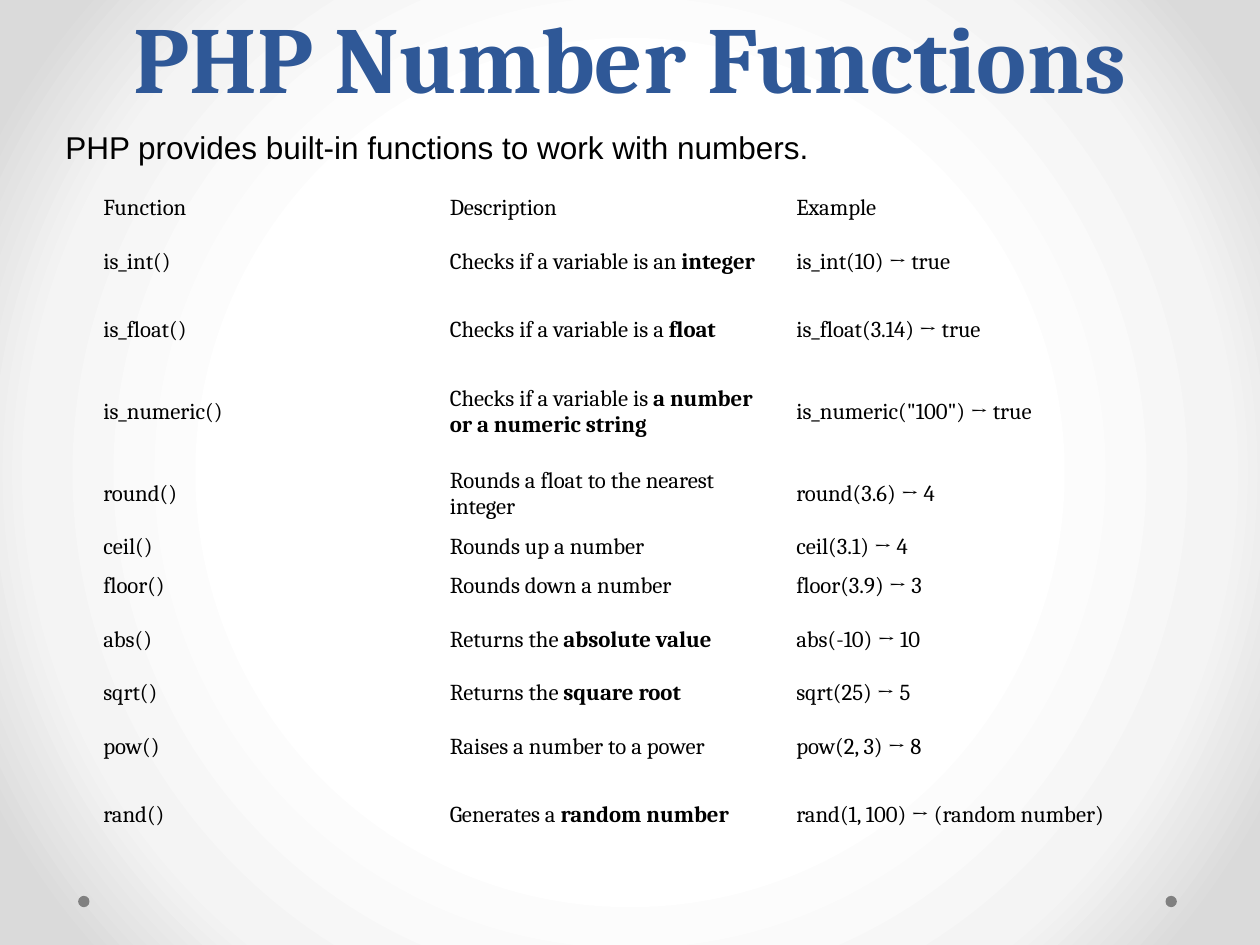
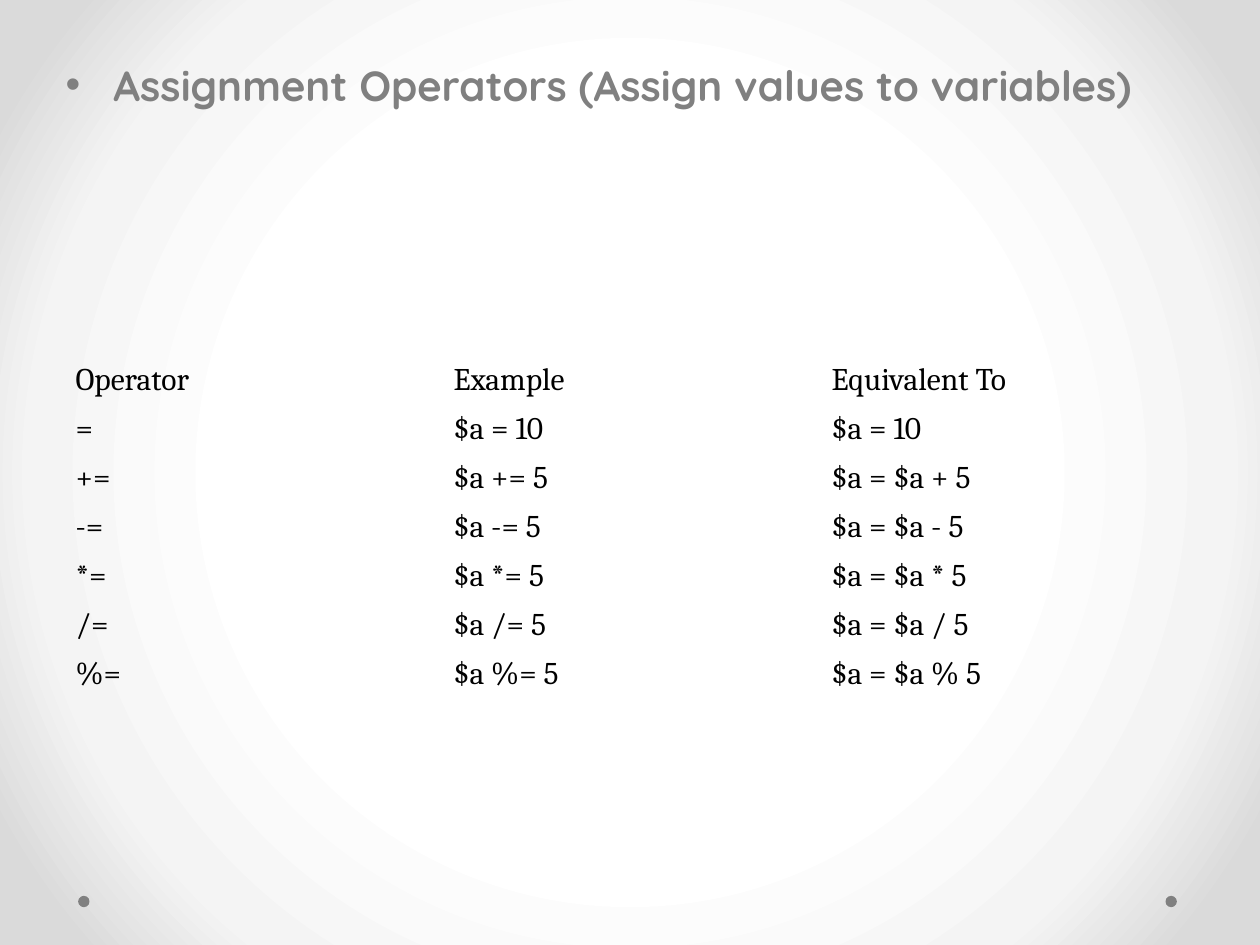
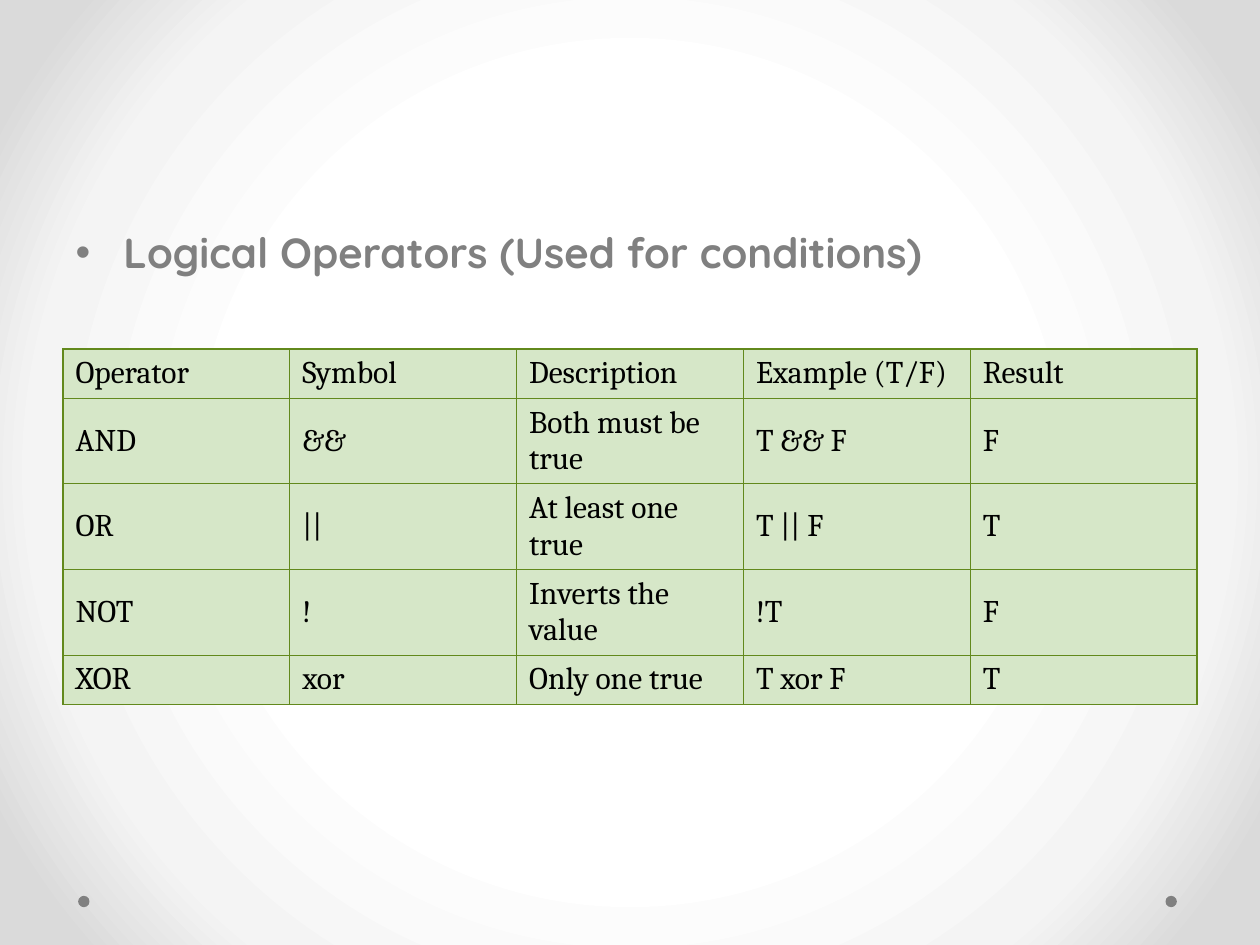
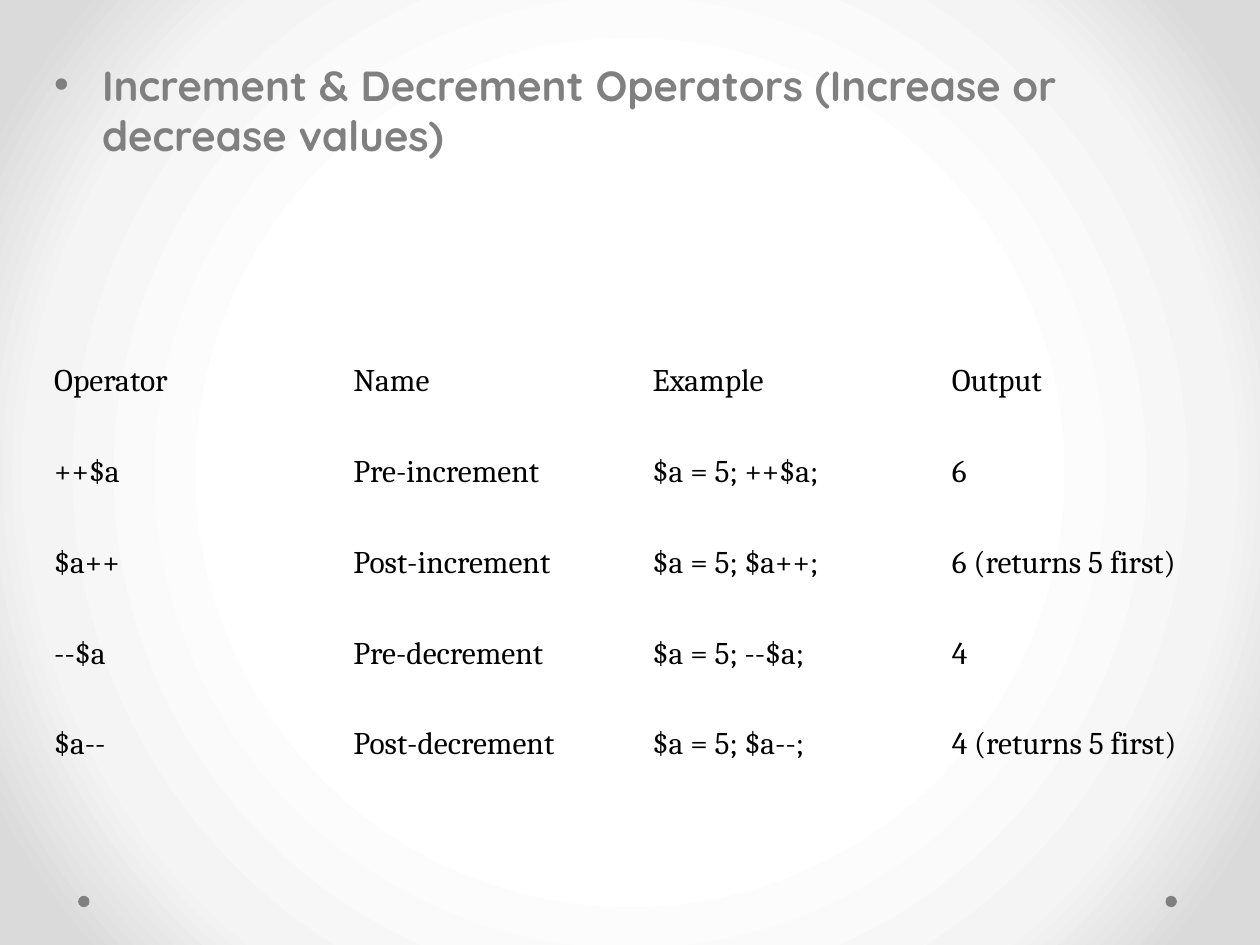
"""Builds four slides on PHP number functions and operators."""
from pptx import Presentation
from pptx.dml.color import RGBColor
from pptx.enum.shapes import MSO_SHAPE as Shape
from pptx.enum.text import MSO_ANCHOR as Anchor, PP_ALIGN as Align
from pptx.oxml import parse_xml
from pptx.oxml.ns import nsdecls, qn
from pptx.util import Inches, Pt

color = RGBColor.from_string
BLUE, GREY, BLACK = "2F5897", "808080", "000000"
LEAF, PALE_GREEN = "62891C", "D6E7C8"
NO_GRID_STYLE = "{2D5ABB26-0587-4C30-8999-92F81FD0307C}"
BACKDROP = [(0, "FFFFFF"), (50, "FFFFFF"), (76, "F4F4F4"), (92, "DADADA"), (100, "DADADA")]


def style(paragraph, name, size, ink, bold=False):
    font = paragraph.font
    font.name, font.size, font.bold = name, Pt(size), bold
    font.color.rgb = color(ink)


def add_grid(page, lines, left, top, width, heights, size=18, margins=None, fill=None, border=None):
    rows = [line.split(" ¦ ") for line in lines]
    frame = page.shapes.add_table(len(rows), len(rows[0]), Inches(left), Inches(top),
                                  Inches(width), Inches(sum(heights)))
    table = frame.table
    table.first_row = table.horz_banding = False
    frame.element.find(".//" + qn("a:tableStyleId")).text = NO_GRID_STYLE
    for row, texts, height in zip(table.rows, rows, heights):
        row.height = Inches(height)
        for cell, text in zip(row.cells, texts):
            cell.vertical_anchor = Anchor.MIDDLE
            if margins:
                cell.margin_left = cell.margin_right = Inches(margins[0])
                cell.margin_top = cell.margin_bottom = Inches(margins[1])
            para = cell.text_frame.paragraphs[0]
            style(para, "Cambria", size, BLACK)
            for index, part in enumerate(text.split("**")):
                if part:
                    span = para.add_run()
                    span.text = part
                    if index % 2:
                        span.font.bold = True
            if border:
                for side in ("lnL", "lnR", "lnT", "lnB"):
                    cell._tc.get_or_add_tcPr().append(parse_xml(
                        f'<a:{side} {nsdecls("a")} w="{Pt(0.75)}"><a:solidFill>'
                        f'<a:srgbClr val="{border}"/></a:solidFill></a:{side}>'))
            if fill:
                cell.fill.solid()
                cell.fill.fore_color.rgb = color(fill)
            else:
                cell.fill.background()


deck = Presentation()
deck.slide_width, deck.slide_height = Inches(10), Inches(7.5)

master = deck.slide_master.element.cSld
stops = "".join(f'<a:gs pos="{place * 1000}"><a:srgbClr val="{tone}"/></a:gs>' for place, tone in BACKDROP)
master.remove(master.bg)
master.insert(0, parse_xml(
    f'<p:bg {nsdecls("p", "a")}><p:bgPr><a:gradFill rotWithShape="1"><a:gsLst>{stops}</a:gsLst>'
    '<a:path path="circle"><a:fillToRect l="50000" t="50000" r="50000" b="50000"/></a:path>'
    '</a:gradFill><a:effectLst/></p:bgPr></p:bg>'))

page = deck.slides.add_slide(deck.slide_layouts[5])
for number, left in enumerate((9.25, 0.62)):
    dot = page.shapes.add_shape(Shape.OVAL, Inches(left), Inches(7.11), Inches(0.09), Inches(0.09))
    dot.shadow.inherit = False
    dot.fill.solid()
    dot.fill.fore_color.rgb = color(GREY)
    dot.line.fill.background()
    dot.element.nvSpPr.cNvPr.id = 20 + number
    master.spTree.append(dot.element)

title = page.shapes.title
title.left, title.top, title.width, title.height = Inches(0.5), Inches(0), Inches(9), Inches(1.75)
title.text_frame.text = "PHP Number Functions"
title.text_frame.vertical_anchor = Anchor.BOTTOM
title.text_frame.margin_bottom = Inches(0.86)
para = title.text_frame.paragraphs[0]
para.alignment = Align.CENTER
para.line_spacing = Pt(58)
style(para, "Cambria", 54, BLUE, True)

functions = [
    "Function ¦ Description ¦ Example",
    "is_int() ¦ Checks if a variable is an **integer** ¦ is_int(10) → true",
    "is_float() ¦ Checks if a variable is a **float** ¦ is_float(3.14) → true",
    'is_numeric() ¦ Checks if a variable is **a number or a numeric string** ¦ is_numeric("100") → true',
    "round() ¦ Rounds a float to the nearest integer ¦ round(3.6) → 4",
    "ceil() ¦ Rounds up a number ¦ ceil(3.1) → 4",
    "floor() ¦ Rounds down a number ¦ floor(3.9) → 3",
    "abs() ¦ Returns the **absolute value** ¦ abs(-10) → 10",
    "sqrt() ¦ Returns the **square root** ¦ sqrt(25) → 5",
    "pow() ¦ Raises a number to a power ¦ pow(2, 3) → 8",
    "rand() ¦ Generates a **random number** ¦ rand(1, 100) → (random number)",
]
add_grid(page, functions, 0.75, 1.5, 8.25,
         [0.31, 0.54, 0.54, 0.76, 0.54, 0.31, 0.31, 0.54, 0.31, 0.54, 0.54], size=13, margins=(0.07, 0.04))

box = page.shapes.add_textbox(Inches(0.42), Inches(0.92), Inches(9.08), Inches(0.5))
box.text_frame.word_wrap = True
box.text_frame.vertical_anchor = Anchor.MIDDLE
box.text_frame.text = "PHP provides built-in functions to work with numbers."
style(box.text_frame.paragraphs[0], "Arial", 18, BLACK)

assignment = ["Operator ¦ Example ¦ Equivalent To", "= ¦ $a = 10 ¦ $a = 10"]
assignment += [f"{sign}= ¦ $a {sign}= 5 ¦ $a = $a {sign} 5" for sign in "+-*/%"]
logical = [
    "Operator ¦ Symbol ¦ Description ¦ Example (T/F) ¦ Result",
    "AND ¦ && ¦ Both must be true ¦ T && F ¦ F",
    "OR ¦ || ¦ At least one true ¦ T || F ¦ T",
    "NOT ¦ ! ¦ Inverts the value ¦ !T ¦ F",
    "XOR ¦ xor ¦ Only one true ¦ T xor F ¦ T",
]
stepping = [
    "Operator ¦ Name ¦ Example ¦ Output",
    "++$a ¦ Pre-increment ¦ $a = 5; ++$a; ¦ 6",
    "$a++ ¦ Post-increment ¦ $a = 5; $a++; ¦ 6 (returns 5 first)",
    "--$a ¦ Pre-decrement ¦ $a = 5; --$a; ¦ 4",
    "$a-- ¦ Post-decrement ¦ $a = 5; $a--; ¦ 4 (returns 5 first)",
]
operator_pages = [
    ("Assignment Operators (Assign values to variables)", (0.42, 0.42, 9.08, 6.28),
     assignment, (0.5, 2.82, 9, [0.39] * 7), {}),
    ("Logical Operators (Used for conditions)", (0.5, 1.75, 9, 4.95),
     logical, (0.5, 2.77, 9, [0.39, 0.68, 0.68, 0.68, 0.39]), {"fill": PALE_GREEN, "border": LEAF}),
    ("Increment & Decrement Operators (Increase or decrease values)", (0.33, 0.42, 9.17, 6.28),
     stepping, (0.33, 2.67, 9.5, [0.72] * 5), {}),
]
for heading, place, lines, grid, looks in operator_pages:
    page = deck.slides.add_slide(deck.slide_layouts[1])
    empty_title = page.shapes.title.element
    empty_title.getparent().remove(empty_title)
    body = page.placeholders[1]
    body.left, body.top, body.width, body.height = map(Inches, place)
    body.text_frame.text = heading
    para = body.text_frame.paragraphs[0]
    style(para, "Quicksand", 24, GREY, True)
    indent = para._p.get_or_add_pPr()
    indent.set("marL", str(Inches(0.38)))
    indent.set("indent", str(-Inches(0.38)))
    add_grid(page, lines, *grid, **looks)

deck.save("out.pptx")
